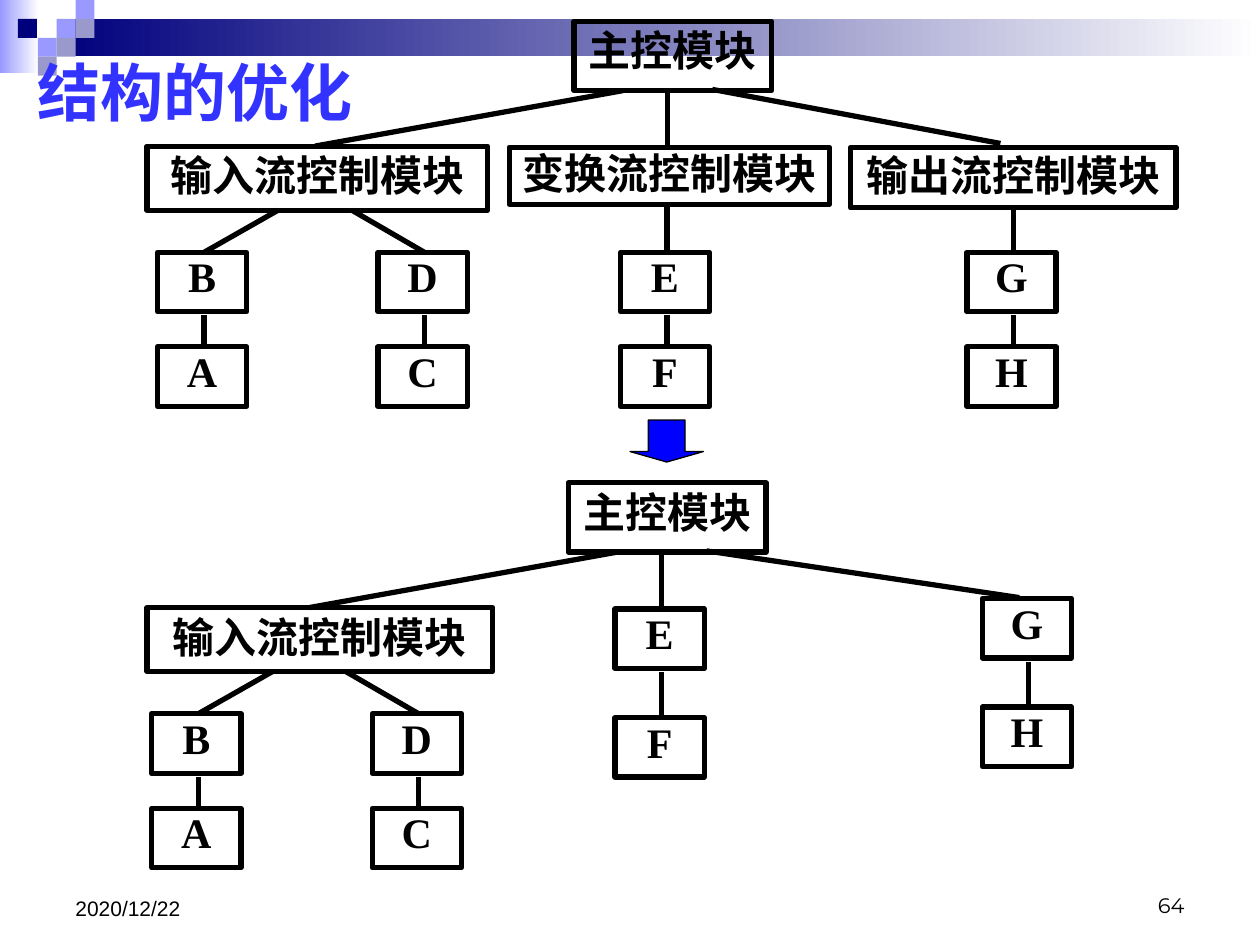
from dataclasses import dataclass

from lxml.etree import SubElement
from pptx import Presentation
from pptx.dml.color import RGBColor
from pptx.enum.shapes import MSO_CONNECTOR as Connector, MSO_SHAPE as Shape
from pptx.enum.text import MSO_ANCHOR as Anchor, MSO_AUTO_SIZE as AutoSize, PP_ALIGN as Align
from pptx.oxml.ns import qn
from pptx.util import Pt


@dataclass(frozen=True)
class Theme:
    black: str = "000000"
    white: str = "FFFFFF"
    navy: str = "00007D"
    periwinkle: str = "9999FF"
    lavender: str = "9999CC"
    title_blue: str = "3333FF"
    arrow_blue: str = "0000FF"
    serif: str = "Times New Roman"
    date_font: str = "Arial"
    number_font: str = "Montserrat"
    title_size: float = 36
    module_size: float = 24
    footer_size: float = 12
    stroke: float = 3
    thin_stroke: float = 0.75


THEME = Theme()
GRID = 10.8                       # side of a corner square
MAIN_W, MAIN_H = 113, 39.6        # main control module
LEAF_W, LEAF_H = 51, 34           # lettered module
LEAF_MID, LEAF_FOOT = 26.6, 36    # where links meet a lettered module
LEAF_PITCH, LOWER_PITCH = 54, 62


def rgb(color):
    return RGBColor.from_string(color)


def write_text(shape, text, *, size, font, color=THEME.black, bold=False,
               align=Align.LEFT, anchor=Anchor.MIDDLE, spacing=1.0, inset=None, wrap=True):
    frame = shape.text_frame
    frame.word_wrap = wrap
    frame.auto_size = AutoSize.NONE
    frame.vertical_anchor = anchor
    if inset is not None:
        frame.margin_left = frame.margin_right = Pt(inset)
        frame.margin_top = frame.margin_bottom = Pt(inset)
    paragraph = frame.paragraphs[0]
    paragraph.alignment = align
    paragraph.line_spacing = spacing
    paragraph.space_before = Pt(0)
    run = paragraph.add_run()
    run.text = text
    run.font.size, run.font.name, run.font.bold = Pt(size), font, bold
    run.font.color.rgb = rgb(color)


class StructureSlide:
    def __init__(self, slide, theme):
        self.slide, self.theme = slide, theme

    def shape(self, kind, x, y, w, h, fill=None, fade=None, line=None, stroke=0):
        item = self.slide.shapes.add_shape(kind, Pt(x), Pt(y), Pt(w), Pt(h))
        item.shadow.inherit = False
        if fade:
            item.fill.gradient()
            item.fill.gradient_angle = 0
            for stop, color in zip(item.fill.gradient_stops, (fill, fade)):
                stop.color.rgb = rgb(color)
        elif fill:
            item.fill.solid()
            item.fill.fore_color.rgb = rgb(fill)
        else:
            item.fill.background()
        if line:
            item.line.color.rgb = rgb(line)
            item.line.width = Pt(stroke)
        else:
            item.line.fill.background()
        return item

    def title(self, text, x, y, w, h):
        title = self.slide.shapes.title
        title.left, title.top, title.width, title.height = Pt(x), Pt(y), Pt(w), Pt(h)
        title.element.getparent().append(title.element)  # above the corner squares
        write_text(title, text, size=self.theme.title_size, font=self.theme.serif,
                   color=self.theme.title_blue, bold=True, anchor=Anchor.TOP,
                   spacing=0.9, wrap=False)

    def footer(self, text, x, y, w, h, font, align):
        box = self.slide.shapes.add_textbox(Pt(x), Pt(y), Pt(w), Pt(h))
        write_text(box, text, size=self.theme.footer_size, font=font,
                   align=align, anchor=Anchor.BOTTOM)

    def module(self, text, x, y, w=LEAF_W, h=LEAF_H, spacing=0.72):
        box = self.shape(Shape.RECTANGLE, x, y, w, h,
                         line=self.theme.black, stroke=self.theme.stroke)
        write_text(box, text, size=self.theme.module_size, font=self.theme.serif,
                   bold=True, align=Align.CENTER, spacing=spacing, inset=0)

    def link(self, x1, y1, x2, y2):
        line = self.slide.shapes.add_connector(
            Connector.STRAIGHT, Pt(x1), Pt(y1), Pt(x2), Pt(y2))
        line.line.color.rgb = rgb(self.theme.black)
        line.line.width = Pt(self.theme.stroke)
        SubElement(line.element.spPr, qn("a:effectLst"))

    def chain(self, letters, x, top, pitch=LEAF_PITCH):
        """Lettered modules stacked downwards, each linked to the next."""
        for level, letter in enumerate(letters):
            y = top + level * pitch
            self.module(letter, x, y)
            if level:
                self.link(x + LEAF_MID, y - pitch + LEAF_FOOT, x + LEAF_MID, y)

    def tree_top(self, x, top, input_w, middle_top, right_end):
        """Main module, its three links and the whole input branch."""
        foot, input_top = top + MAIN_H, top + 71.3
        leaf_x, leaf_top = x - 238, top + 132
        self.module("主控模块", x, top, MAIN_W, MAIN_H)
        self.link(x + 28, foot, leaf_x + 90, input_top)
        self.link(x + 53.3, foot, x + 53.3, middle_top)
        self.link(x + 79, foot - 0.7, *right_end)
        self.module("输入流控制模块", 84, input_top, input_w, 36.6, spacing=0.9)
        for letters, offset, start in (("BA", 0, 69), ("DC", 126, 111)):
            self.link(leaf_x + start, input_top + 36.6, leaf_x + offset + LEAF_MID, leaf_top)
            self.chain(letters, leaf_x + offset, leaf_top)


def main():
    deck = Presentation()
    deck.slide_width, deck.slide_height = Pt(720), Pt(540)
    page = StructureSlide(deck.slides.add_slide(deck.slide_layouts[5]), THEME)

    # Fading band and corner squares
    page.shape(Shape.RECTANGLE, 0, 0, 22.3, 41.8, THEME.periwinkle, THEME.white)
    page.shape(Shape.RECTANGLE, 3 * GRID, GRID, 687.6, 21.4, THEME.navy, THEME.white)
    squares = {
        THEME.periwinkle: [(3, 1), (4, 0), (2, 2)],
        THEME.lavender: [(4, 1), (3, 2), (2, 3)],
        THEME.navy: [(0.95, 1)],
    }
    for color, cells in squares.items():
        for column, row in cells:
            page.shape(Shape.RECTANGLE, column * GRID, row * GRID, GRID, GRID, color)

    # Title and footer
    page.title("结构的优化", 14.4, 31.7, 198.7, 41.8)
    page.footer("64", 516, 492, 168, 36, THEME.number_font, Align.RIGHT)
    page.footer("2020/12/22", 36, 492, 168, 37.4, THEME.date_font, Align.LEFT)

    # Structure before optimisation
    page.tree_top(328, 12.2, 194.6, 84, (571.7, 82))
    for text, x, w, h, letters, leaf_x in (
            ("变换流控制模块", 291, 183, 32.6, "EF", 354.5),
            ("输出流控制模块", 486, 186, 34.6, "GH", 552.5)):
        page.module(text, x, 84.2, w, h, spacing=0.9)
        page.link(leaf_x + LEAF_MID, 84.2 + h, leaf_x + LEAF_MID, 144.2)
        page.chain(letters, leaf_x, 144.2)

    # Step from one structure to the other
    arrow = page.shape(Shape.DOWN_ARROW, 360, 240, 42, 24, THEME.arrow_blue,
                       line=THEME.black, stroke=THEME.thin_stroke)
    arrow.adjustments[0], arrow.adjustments[1] = 0.5, 0.25

    # Structure after optimisation
    page.tree_top(324.7, 275.9, 197.5, 348, (582.5, 341.5))
    page.chain("EF", 351.5, 348, LOWER_PITCH)
    page.chain("GH", 561.3, 342, LOWER_PITCH)

    deck.save("out.pptx")


if __name__ == "__main__":
    main()
